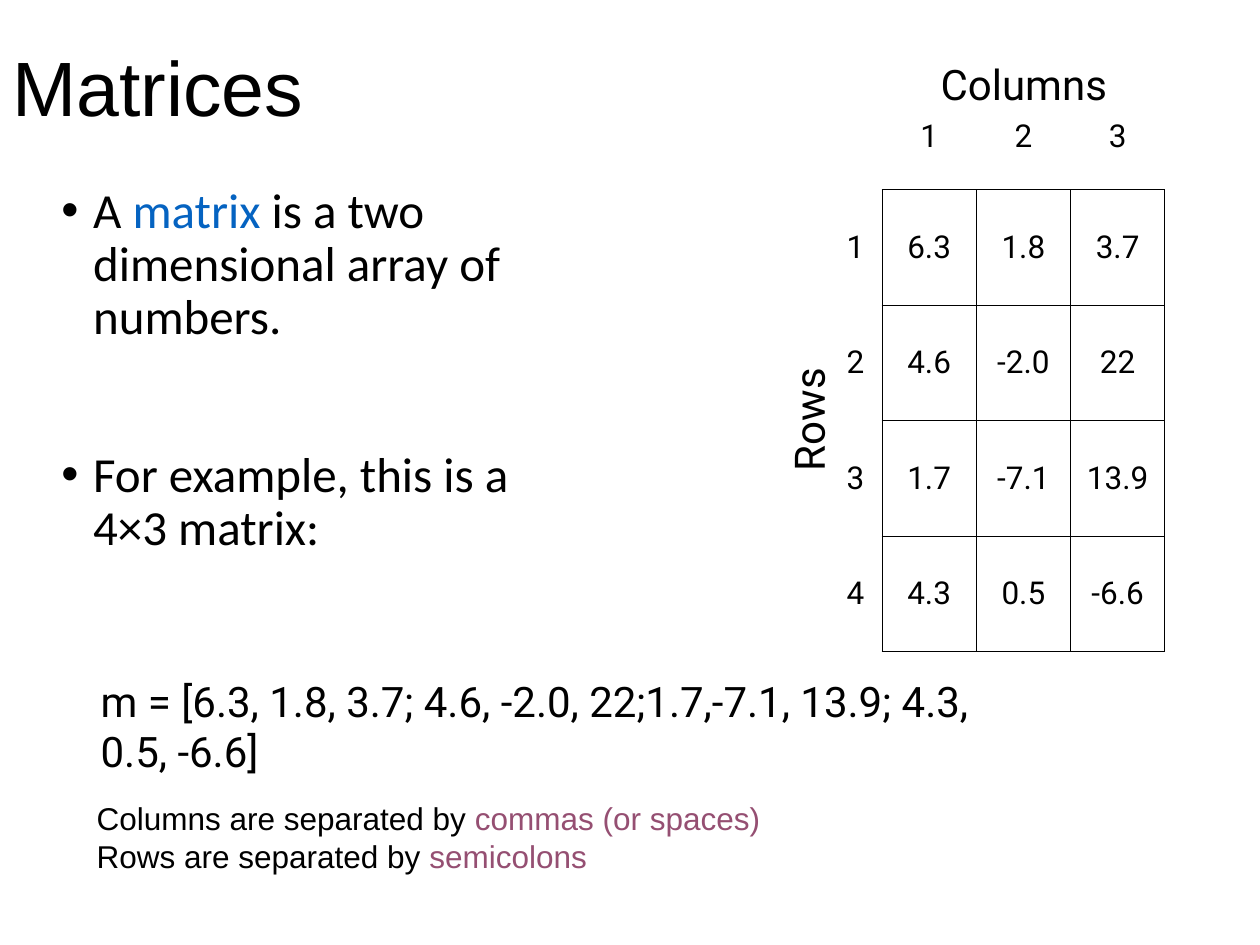
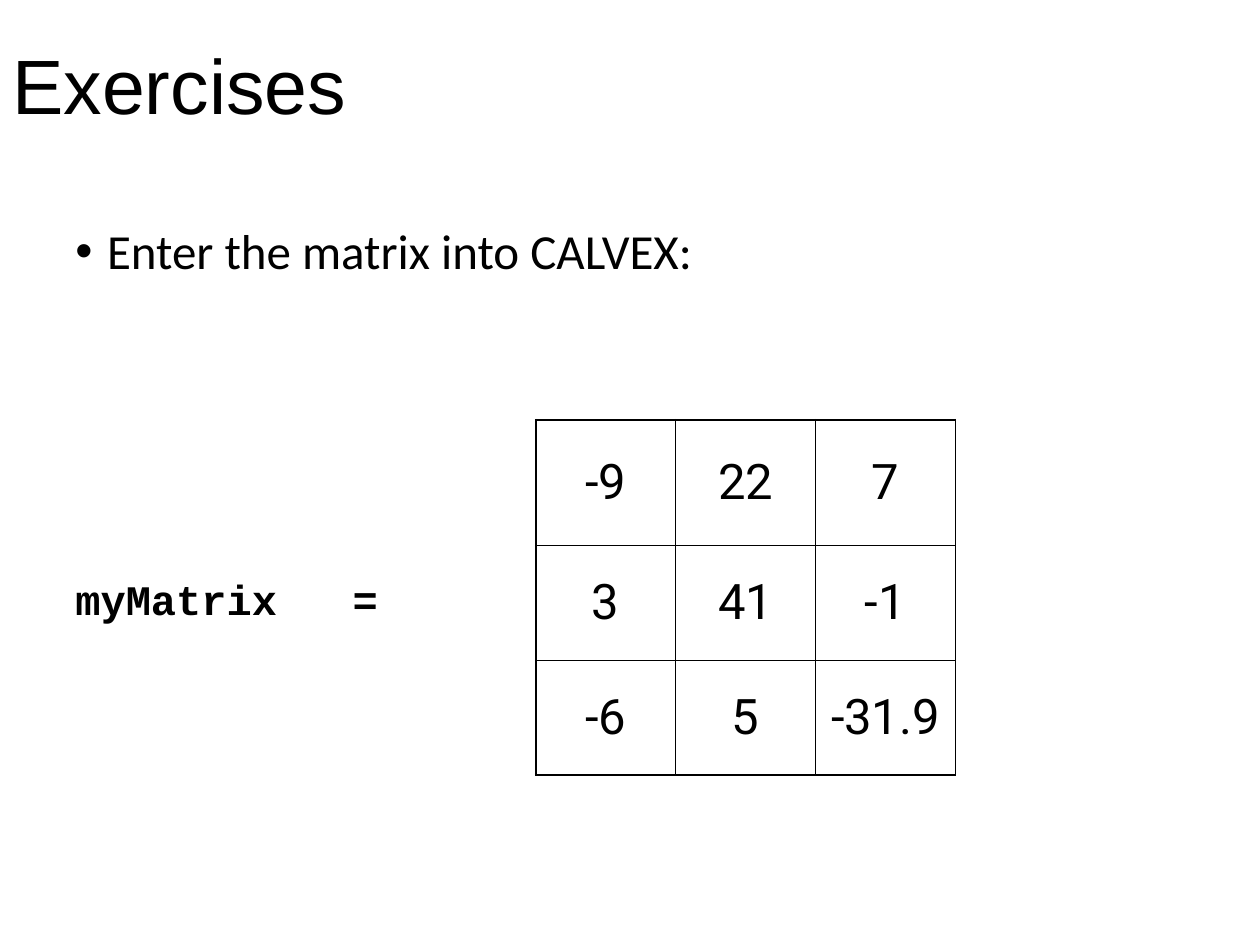
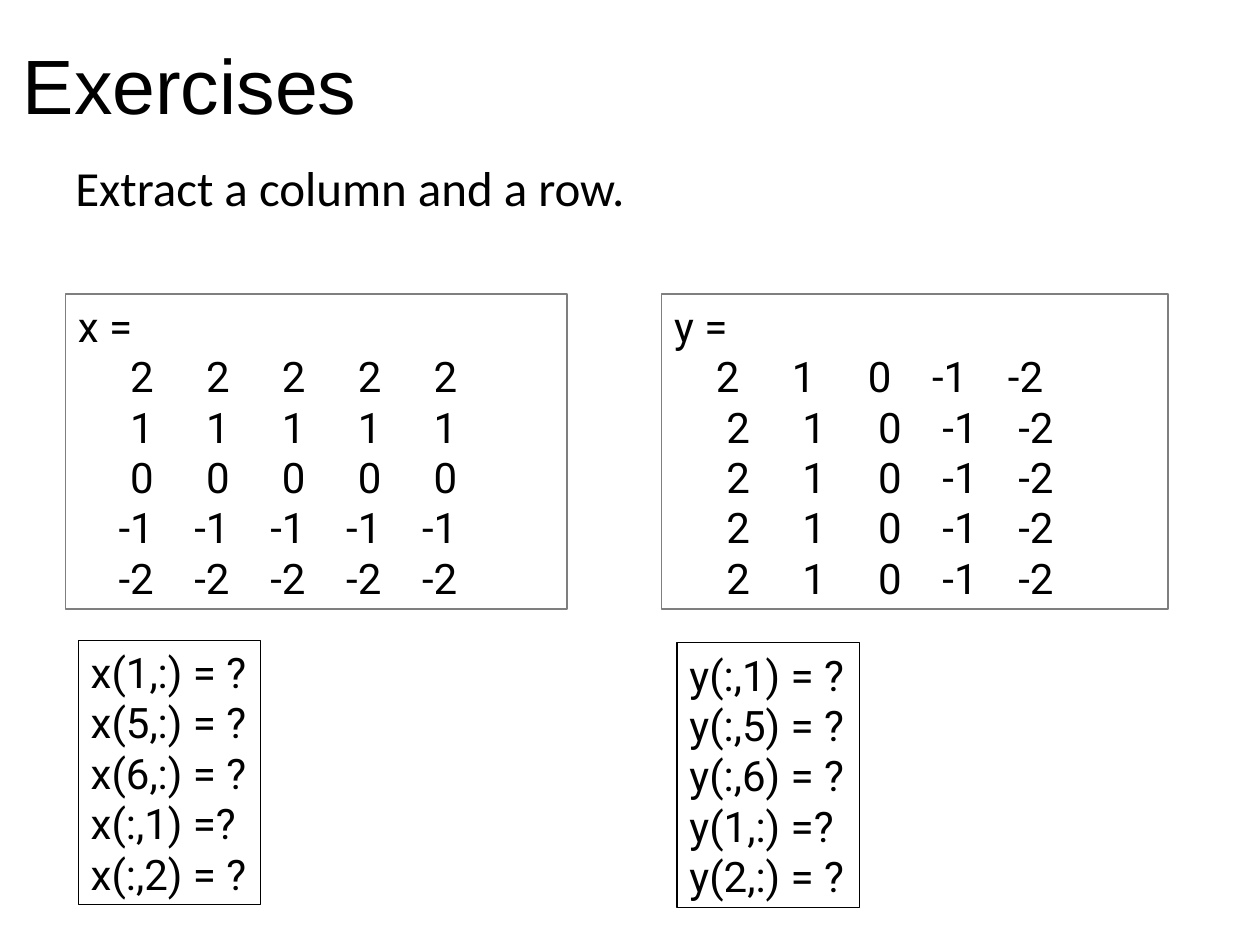
from lxml.etree import SubElement
from pptx import Presentation
from pptx.dml.color import RGBColor
from pptx.enum.shapes import MSO_SHAPE
from pptx.enum.text import MSO_ANCHOR, PP_ALIGN
from pptx.oxml.ns import qn
from pptx.util import Cm, Pt

BLACK, GRAY, BLUE, PLUM = "000000", "7F7F7F", "0563C1", "954F72"
HEADING, BODY, LABEL, CODE = "Arial", "Calibri", "Roboto", "Courier New"
THIN, THICK = 0.45, 1.08
TAB_STEP = 1.53
BULLET_INDENT = 0.64


def color(hex_string):
    """Return the colour for a hex string."""
    return RGBColor.from_string(hex_string)


def place(box):
    """Turn left, top, width and height in centimetres into lengths."""
    return [Cm(value) for value in box]


def add_bullet(paragraph):
    """Give a paragraph a round bullet with a hanging indent."""
    properties = paragraph._p.get_or_add_pPr()
    properties.set("marL", str(Cm(BULLET_INDENT)))
    properties.set("indent", str(-Cm(BULLET_INDENT)))
    SubElement(properties, qn("a:buFont"), typeface="Arial")
    SubElement(properties, qn("a:buChar"), char="•")


def add_tabs(paragraph, stops, align):
    """Add tab stops, given in centimetres, to a paragraph."""
    tab_list = SubElement(paragraph._p.get_or_add_pPr(), qn("a:tabLst"))
    for stop in stops:
        SubElement(tab_list, qn("a:tab"), pos=str(Cm(stop)), algn=align)


def style(paragraph, font, size, bold=False):
    """Set the font shared by all runs of a paragraph."""
    paragraph.font.name = font
    paragraph.font.size = Pt(size)
    paragraph.font.bold = bold
    paragraph.font.color.rgb = color(BLACK)


def write(frame, lines, font, size, bold=False, align=PP_ALIGN.LEFT,
          spacing=None, gap=0, bullets=False, tabs=None, tab_align="l"):
    """Write lines, each a string or a list of (text, colour) parts."""
    for index, line in enumerate(lines):
        paragraph = frame.add_paragraph() if index else frame.paragraphs[0]
        paragraph.alignment = align
        if spacing:
            paragraph.line_spacing = spacing
        if index and gap:
            paragraph.space_before = Pt(gap)
        if bullets:
            add_bullet(paragraph)
        if tabs and tabs[index]:
            add_tabs(paragraph, tabs[index], tab_align)
        style(paragraph, font, size, bold)
        parts = [(line, None)] if isinstance(line, str) else line
        for text, hex_string in parts:
            run = paragraph.add_run()
            run.text = text
            if hex_string:
                run.font.color.rgb = color(hex_string)


def add_text(slide, box, lines, font, size, **options):
    """Add a wrapping text box and return it."""
    text_box = slide.shapes.add_textbox(*place(box))
    text_box.text_frame.word_wrap = True
    write(text_box.text_frame, lines, font, size, **options)
    return text_box


def add_title(slide, box, title):
    """Add the slide title, centred vertically in its box."""
    heading = add_text(slide, box, [title], HEADING, 44, spacing=0.9)
    heading.text_frame.vertical_anchor = MSO_ANCHOR.MIDDLE


def add_body(slide, box, lines, **options):
    """Add the main text of a slide."""
    add_text(slide, box, lines, BODY, 28, spacing=0.9, **options)


def add_framed(slide, box, lines, outline, wrap=True, **options):
    """Add an outlined rectangle holding lines of text."""
    panel = slide.shapes.add_shape(MSO_SHAPE.RECTANGLE, *place(box))
    panel.shadow.inherit = False
    panel.fill.background()
    panel.line.color.rgb = color(outline)
    panel.line.width = Pt(0.75)
    panel.text_frame.word_wrap = wrap
    panel.text_frame.vertical_anchor = MSO_ANCHOR.TOP
    write(panel.text_frame, lines, LABEL, 24, **options)


def add_borders(cell, widths):
    """Draw the left, right, top and bottom borders; zero hides one."""
    properties = cell._tc.get_or_add_tcPr()
    for side, width in zip("LRTB", widths):
        border = SubElement(properties, qn(f"a:ln{side}"), w=str(Pt(width)))
        if width:
            fill = SubElement(border, qn("a:solidFill"))
            SubElement(fill, qn("a:srgbClr"), val=BLACK)
        else:
            SubElement(border, qn("a:noFill"))


def add_matrix(slide, left, top, columns, rows, values, size, borders):
    """Add a table of numbers; borders(row, column) gives the line widths."""
    box = (left, top, sum(columns), sum(rows))
    table = slide.shapes.add_table(len(rows), len(columns), *place(box)).table
    table.first_row = table.horz_banding = False
    for column, width in zip(table.columns, columns):
        column.width = Cm(width)
    for row, height in zip(table.rows, rows):
        row.height = Cm(height)
    for r, numbers in enumerate(values):
        for c, number in enumerate(numbers):
            cell = table.cell(r, c)
            add_borders(cell, borders(r, c))
            cell.fill.background()
            cell.vertical_anchor = MSO_ANCHOR.MIDDLE
            write(cell.text_frame, [number], LABEL, size,
                  align=PP_ALIGN.CENTER)


def indexed_borders(row, column):
    """Rule the numbers, leaving the row and column indices open."""
    if row and column:
        return [THIN] * 4
    return 0, THIN if row else 0, 0, THIN if column else 0


def framed_borders(row, column):
    """Rule a 3×3 matrix with a heavier outer frame."""
    return [THICK if outer else THIN
            for outer in (column == 0, column == 2, row == 0, row == 2)]


def add_display(slide, box, name, rows, shifts):
    """Show a matrix as the console prints it, in right-aligned columns."""
    lines = [f"{name} ="] + ["\t" + "\t".join(row.split()) for row in rows]
    tabs = [None] + [[round(TAB_STEP * n + shift, 2) for n in range(1, 6)]
                     for shift in shifts]
    add_framed(slide, box, lines, GRAY, tabs=tabs, tab_align="r")


def build_matrices(slide):
    """Explain what a matrix is and how to enter one."""
    add_title(slide, (0, 0.25, 25.4, 3.18), "Matrices")
    add_body(slide, (0.99, 3.63, 10.5, 9.5), [
        [("A ", None), ("matrix", BLUE),
         (" is a two dimensional array of numbers.", None)],
        "For example, this is a 4×3 matrix:",
    ], bullets=True, gap=60)
    values = [
        ["", "1", "2", "3"],
        ["1", "6.3", "1.8", "3.7"],
        ["2", "4.6", "-2.0", "22"],
        ["3", "1.7", "-7.1", "13.9"],
        ["4", "4.3", "0.5", "-6.6"],
    ]
    add_matrix(slide, 16.71, 1.69, [1.07] + [1.9] * 3, [2.13] + [2.33] * 4,
               values, 18, indexed_borders)
    add_text(slide, (17.78, 1.06, 5.72, 1.27), ["Columns"], LABEL, 24,
             align=PP_ALIGN.CENTER)
    rows_label = add_text(slide, (11.63, 7.82, 9.32, 1.27), ["Rows"],
                          LABEL, 24, align=PP_ALIGN.CENTER)
    rows_label.rotation = 270
    add_text(slide, (1.7, 15.98, 19.74, 1.78), [
        [("Columns are separated by ", None), ("commas (or spaces)", PLUM)],
        [("Rows are separated by ", None), ("semicolons", PLUM)],
    ], HEADING, 18)
    add_text(slide, (1.78, 13.49, 19.51, 2.29), [
        "m = [6.3, 1.8, 3.7; 4.6, -2.0, 22;1.7,-7.1, 13.9; 4.3, 0.5, -6.6]",
    ], LABEL, 24)


def build_entry_exercise(slide):
    """Ask for a matrix to be entered."""
    add_title(slide, (0, 0.21, 25.2, 3.18), "Exercises")
    add_body(slide, (1.27, 4.45, 22.86, 2.34),
             ["Enter the matrix into CALVEX:"], bullets=True)
    values = [["-9", "22", "7"], ["3", "41", "-1"], ["-6", "5", "-31.9"]]
    add_matrix(slide, 10.8, 8.46, [2.82] * 3, [2.54, 2.31, 2.31],
               values, 28, framed_borders)
    add_text(slide, (1.27, 11.43, 8.46, 1.27), ["myMatrix\t="], CODE, 24,
             bold=True, tabs=[[5.59]])


def build_extract_exercise(slide):
    """Ask for rows and columns of two matrices."""
    add_title(slide, (0.21, 0.21, 24.97, 3.18), "Exercises")
    add_body(slide, (1.27, 3.18, 22.66, 2.11),
             ["Extract a column and a row."])
    x_rows = [f"{n} " * 5 for n in range(2, -3, -1)]
    add_display(slide, (1.32, 5.93, 10.11, 6.35), "x", x_rows, [0] * 5)
    add_display(slide, (13.34, 5.93, 10.21, 6.35), "y",
                ["2 1 0 -1 -2"] * 5, [-0.21] + [0] * 4)
    x_questions = ["x(1,:) = ?", "x(5,:) = ?", "x(6,:) = ?",
                   "x(:,1) =?", "x(:,2) = ?"]
    y_questions = ["y(:,1) = ?", "y(:,5) = ?", "y(:,6) = ?",
                   "y(1,:) =?", "y(2,:) = ?"]
    for left, top, questions in ((1.58, 12.91, x_questions),
                                 (13.65, 12.96, y_questions)):
        add_framed(slide, (left, top, 3.68, 5.33), questions, BLACK,
                   wrap=False)


def main():
    """Build the slides and save them."""
    deck = Presentation()
    deck.slide_width, deck.slide_height = Cm(25.4), Cm(19.05)
    for build in (build_matrices, build_entry_exercise,
                  build_extract_exercise):
        build(deck.slides.add_slide(deck.slide_layouts[6]))
    deck.save("out.pptx")


if __name__ == "__main__":
    main()
